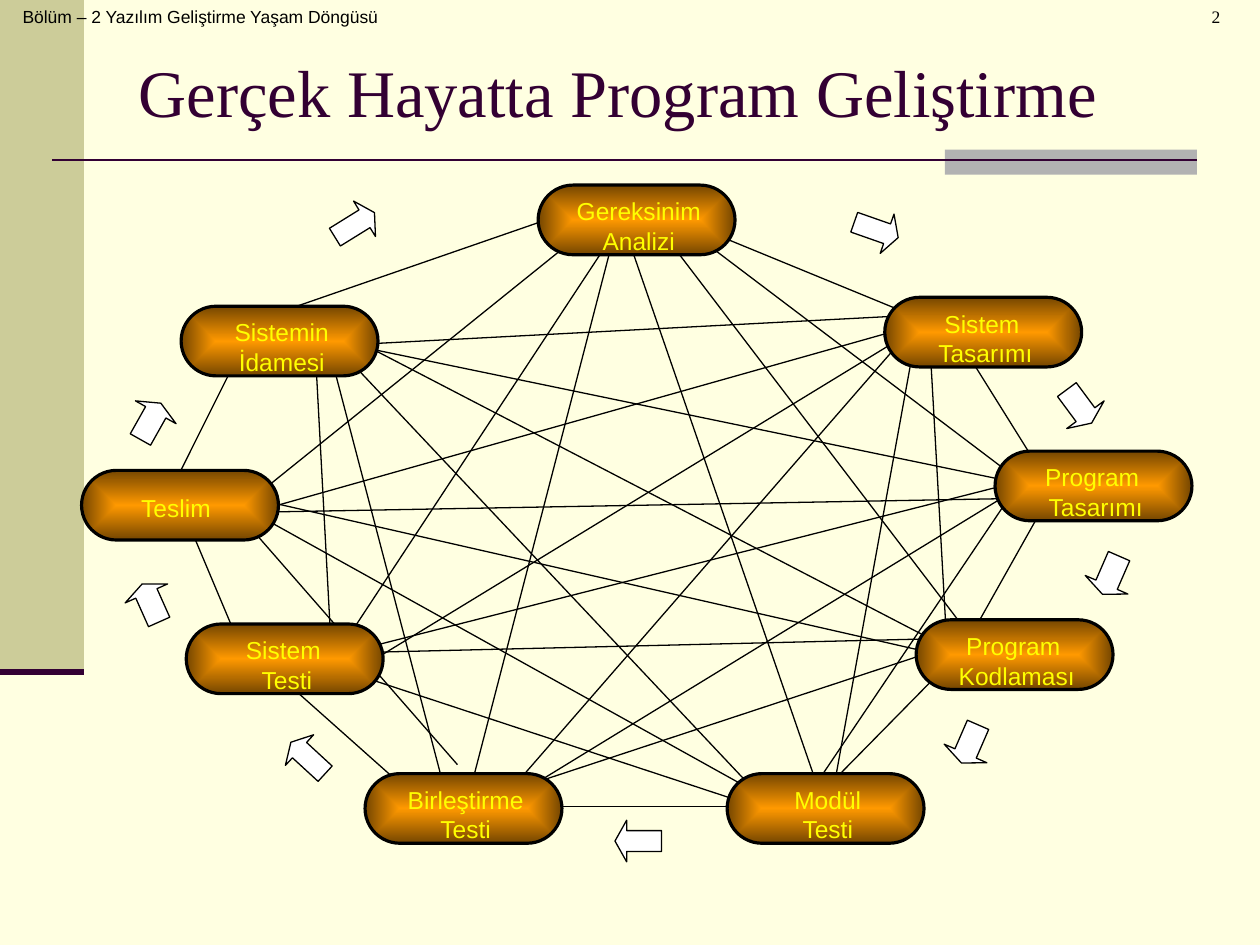
from lxml.etree import SubElement
from pptx import Presentation
from pptx.dml.color import RGBColor
from pptx.enum.shapes import MSO_CONNECTOR, MSO_SHAPE
from pptx.enum.text import MSO_ANCHOR, PP_ALIGN
from pptx.oxml.ns import qn
from pptx.util import Pt

THEME = {
    "paper": "FFFFE1", "olive": "CCCC99", "gray": "B2B2B2", "plum": "330033",
    "ink": "000000", "white": "FFFFFF", "label": "FFFF00",
    "glow": "FF9900", "brown": "754600",
    "sans": "Arial", "serif": "Times New Roman",
    "title_size": 38, "label_size": 14, "small_size": 10,
}


def color(name):
    return RGBColor.from_string(THEME[name])


def write(sp, lines, face, size, ink, align, anchor=MSO_ANCHOR.TOP):
    tf = sp.text_frame
    frame_format = {
        "word_wrap": True, "vertical_anchor": anchor,
        "margin_left": Pt(7.2), "margin_right": Pt(7.2),
        "margin_top": Pt(3.6), "margin_bottom": Pt(3.6),
    }
    for key, value in frame_format.items():
        setattr(tf, key, value)
    for i, line in enumerate(lines):
        p = tf.paragraphs[0] if i == 0 else tf.add_paragraph()
        p.alignment = align
        r = p.add_run()
        r.text = line
        for key, value in {"name": THEME[face], "size": Pt(THEME[size]), "bold": False}.items():
            setattr(r.font, key, value)
        r.font.color.rgb = color(ink)
    return tf


prs = Presentation()
for key, value in {"slide_width": Pt(720), "slide_height": Pt(540)}.items():
    setattr(prs, key, value)
slide = prs.slides.add_slide(prs.slide_layouts[5])
slide.background.fill.solid()
slide.background.fill.fore_color.rgb = color("paper")
shapes = slide.shapes

for x, y, w, h, fill in [(0, 0, 48, 384, "olive"), (540, 85.5, 180 - 36, 14.4, "gray")]:
    sp = shapes.add_shape(MSO_SHAPE.RECTANGLE, Pt(x), Pt(y), Pt(w), Pt(h))
    sp.shadow.inherit = False
    sp.fill.solid()
    sp.fill.fore_color.rgb = color(fill)
    sp.line.fill.background()

title = shapes.title
for key, value in {"left": 72, "top": 21.6, "width": 612, "height": 61.2}.items():
    setattr(title, key, Pt(value))
write(title, ["Gerçek Hayatta Program Geliştirme"], "serif", "title_size", "plum",
      PP_ALIGN.LEFT, MSO_ANCHOR.MIDDLE)

header = shapes.add_textbox(Pt(5.8), Pt(0), Pt(235.5), Pt(36))
write(header, ["Bölüm – 2 Yazılım Geliştirme Yaşam Döngüsü"], "sans", "small_size", "ink",
      PP_ALIGN.LEFT)

GRID_X, GRID_Y, STEP_X, STEP_Y = 0.4, 4.4, 9, 8.01
links = [
    (45, 16, 58, 22), (61, 24, 66, 33), (66, 36, 62, 44), (45, 17, 65, 34),
    (42, 16, 61, 44), (40, 17, 52, 56), (39, 16, 30, 55), (39, 16, 22, 45),
    (37, 16, 16, 35), (35, 15, 17, 22), (59, 24, 60, 44), (58, 24, 53, 55),
    (57, 24, 33, 55), (58, 23, 23, 47), (57, 23, 16, 36), (57, 22, 23, 24),
    (64, 35, 52, 55), (65, 34, 33, 56), (64, 34, 22, 46), (65, 35, 16, 36),
    (65, 34, 22, 24), (60, 47, 53, 55), (59, 46, 32, 56), (60, 45, 23, 46),
    (59, 46, 16, 35), (59, 45, 23, 24), (47, 57, 35, 57), (48, 57, 21, 47),
    (48, 56, 16, 36), (48, 56, 22, 25), (26, 56, 17, 47), (15, 45, 12, 37),
    (11, 34, 15, 25), (29, 54, 15, 36), (28, 55, 21, 25), (21, 46, 20, 25),
]
lines = [(30, 91.4, 684, 91.4, "plum", 1.5), (0, 384, 48, 384, "plum", 3.5)]
for c1, r1, c2, r2 in links:
    lines.append((GRID_X + STEP_X * c1, GRID_Y + STEP_Y * r1,
                  GRID_X + STEP_X * c2, GRID_Y + STEP_Y * r2, "ink", 0.75))
for x1, y1, x2, y2, ink, width in lines:
    sp = shapes.add_connector(MSO_CONNECTOR.STRAIGHT, Pt(x1), Pt(y1), Pt(x2), Pt(y2))
    sp.line.color.rgb = color(ink)
    sp.line.width = Pt(width)
    SubElement(sp._element.spPr, qn("a:effectLst"))

PILL_W, PILL_H, LABEL_W, LABEL_H = 112.5, 39.8, 116.6, 40.3
stages = [
    (307.5, 105.8, -0.8, 2.9, ["Gereksinim Analizi"]),
    (505.6, 169.9, -0.8, 2.9, ["Sistem ", "Tasarımı"]),
    (568.6, 257.8, -0.8, 2.9, ["Program ", "Tasarımı"]),
    (523.5, 354.2, -0.8, 2.9, ["Program ", "Kodlaması"]),
    (415.5, 442.1, -0.8, 2.9, ["Modül", "Testi"]),
    (103.5, 175, -0.8, 2.9, ["Sistemin", "İdamesi"]),
    (46.6, 268.8, -4.3, 9.3, ["Teslim"]),
    (106.4, 356.6, -0.8, 2.9, ["Sistem ", "Testi"]),
    (208.6, 442.1, -0.8, 2.9, ["Birleştirme", "Testi"]),
]
for x, y, dx, dy, label in stages:
    sp = shapes.add_shape(MSO_SHAPE.ROUNDED_RECTANGLE, Pt(x), Pt(y), Pt(PILL_W), Pt(PILL_H))
    sp.shadow.inherit = False
    sp.adjustments[0] = 0.5
    sp.fill.gradient()
    for stop, name in zip(sp.fill.gradient_stops, ["glow", "brown"]):
        stop.color.rgb = color(name)
    grad = sp._element.spPr.find(qn("a:gradFill"))
    grad.remove(grad.find(qn("a:lin")))
    center = SubElement(grad, qn("a:path"), {"path": "rect"})
    SubElement(center, qn("a:fillToRect"), {side: "50000" for side in "ltrb"})
    sp.line.color.rgb = color("ink")
    sp.line.width = Pt(1.81)
    tb = shapes.add_textbox(Pt(x + dx), Pt(y + dy), Pt(LABEL_W), Pt(LABEL_H))
    write(tb, label, "sans", "label_size", "label", PP_ALIGN.CENTER)

WIDE, TALL = (26.6, 23.8, 0.28), (23.8, 26.6, 0.25)
arrows = [
    (351.4, 468.7, WIDE, 180), (604.8, 218.9, TALL, 53.5), (622.8, 315.4, TALL, 113.5),
    (542.2, 411.8, TALL, 113.5), (162.7, 421.2, WIDE, 222.6), (74.2, 331.2, TALL, 245.9),
    (74.2, 227.5, TALL, 299.4), (189.4, 116.6, WIDE, 328.2), (487.4, 119.5, WIDE, 19.3),
]
for x, y, (w, h, head), angle in arrows:
    sp = shapes.add_shape(MSO_SHAPE.RIGHT_ARROW, Pt(x), Pt(y), Pt(w), Pt(h))
    sp.shadow.inherit = False
    sp.adjustments[0] = 0.5
    sp.adjustments[1] = head
    sp.rotation = angle
    sp.fill.solid()
    sp.fill.fore_color.rgb = color("white")
    sp.line.color.rgb = color("ink")
    sp.line.width = Pt(0.75)

number = shapes.add_textbox(Pt(643.7), Pt(0), Pt(85), Pt(36))
tf = write(number, ["2"], "serif", "small_size", "ink", PP_ALIGN.CENTER)
tf.paragraphs[0]._p.get_or_add_pPr().set("marL", str(Pt(17.3)))

prs.save("out.pptx")
